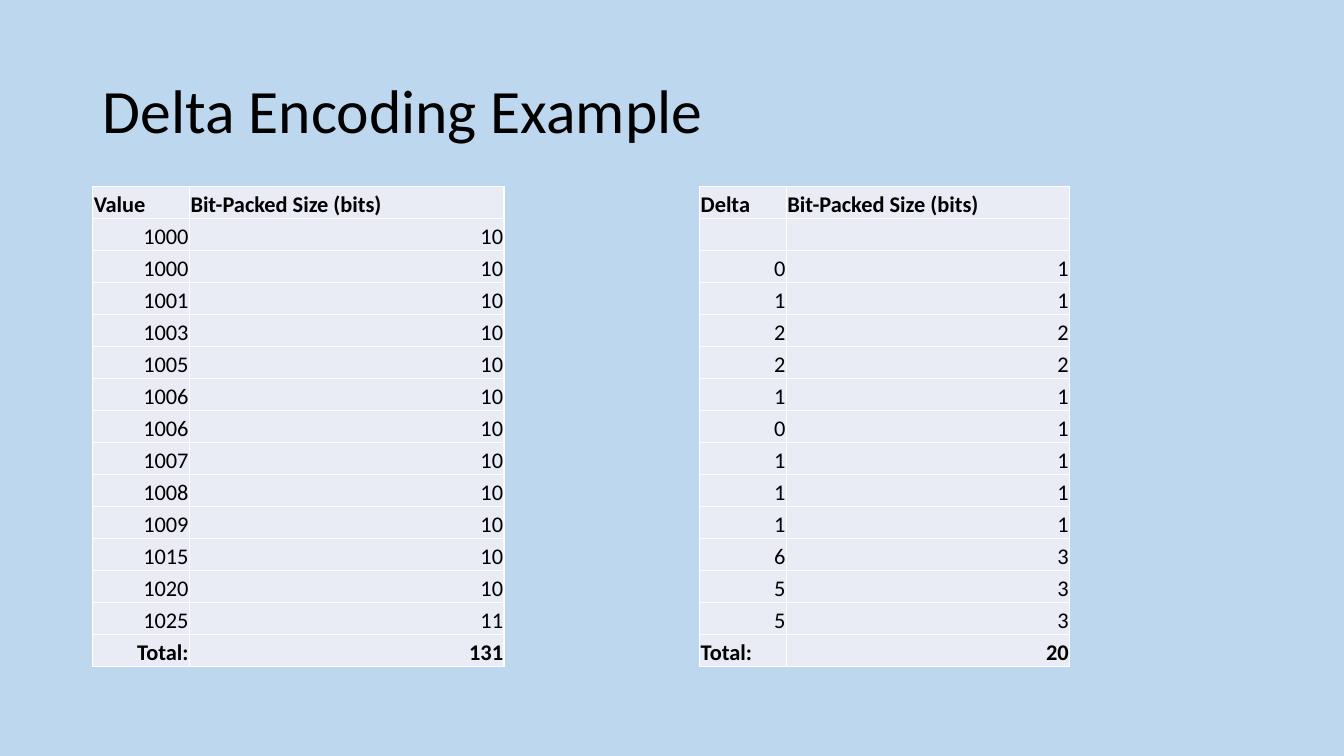
"""Build the delta encoding slide with its two bit-size tables."""
from lxml.etree import SubElement
from pptx import Presentation
from pptx.dml.color import RGBColor as RGB
from pptx.enum.text import MSO_ANCHOR as Anchor, PP_ALIGN as Align
from pptx.oxml import parse_xml
from pptx.oxml.ns import nsdecls, qn
from pptx.util import Inches, Pt

HUES = {"back": "BDD7EE", "cell": "E9EBF5", "edge": "FFFFFF", "text": "000000"}


def write(frame, text, size=16, bold=False, align=Align.LEFT, space=None):
    para = frame.paragraphs[0]
    para.alignment = align
    para.line_spacing = space
    if not text:
        para._p.get_or_add_endParaRPr().set("sz", str(size * 100))
        return
    run = para.add_run()
    run.text = text
    font = run.font
    font.name, font.size, font.bold = "Calibri", Pt(size), bold
    font.color.rgb = RGB.from_string(HUES["text"])


def edge(cell):
    props = cell._tc.get_or_add_tcPr()
    for spot, side in enumerate("LRTB"):
        line = parse_xml(f'<a:ln{side} {nsdecls("a")} w="12700"/>')
        fill = SubElement(line, qn("a:solidFill"))
        SubElement(fill, qn("a:srgbClr")).set("val", HUES["edge"])
        props.insert(spot, line)


deck = Presentation()
deck.slide_width, deck.slide_height = Inches(13.33), Inches(7.5)
slide = deck.slides.add_slide(deck.slide_layouts[6])
slide.background.fill.solid()
slide.background.fill.fore_color.rgb = RGB.from_string(HUES["back"])

title = slide.shapes.add_textbox(Inches(0.92), Inches(0.4), Inches(11.5), Inches(1.45)).text_frame
title.word_wrap = True
title.vertical_anchor = Anchor.MIDDLE
write(title, "Delta Encoding Example", size=44, space=0.9)

values = [1000, 1000, 1001, 1003, 1005, 1006, 1006, 1007, 1008, 1009, 1015, 1020, 1025]
deltas = [b - a for a, b in zip(values, values[1:])]
tables = [
    ("Value", values, [], 0.92, (0.96, 3.12), Align.RIGHT),
    ("Delta", deltas, [("", "")], 6.94, (0.86, 2.81), Align.LEFT),
]

for head, nums, gap, left, widths, side in tables:
    bits = [max(1, num.bit_length()) for num in nums]
    rows = [(head, "Bit-Packed Size (bits)"), *gap, *zip(nums, bits), ("Total:", sum(bits))]
    last = len(rows) - 1
    grid = slide.shapes.add_table(
        len(rows), 2, Inches(left), Inches(1.85), Inches(sum(widths)), Inches(4.77)).table
    for col, width in zip(grid.columns, widths):
        col.width = Inches(width)
    for r, row in enumerate(rows):
        grid.rows[r].height = Inches(4.77 / len(rows))
        for c, item in enumerate(row):
            cell = grid.cell(r, c)
            cell.margin_left = cell.margin_right = cell.margin_top = Inches(0.01)
            cell.margin_bottom = 0
            cell.vertical_anchor = Anchor.BOTTOM
            cell.fill.solid()
            cell.fill.fore_color.rgb = RGB.from_string(HUES["cell"])
            edge(cell)
            align = Align.LEFT if r == 0 else side if (r, c) == (last, 0) else Align.RIGHT
            write(cell.text_frame, str(item), bold=r in (0, last), align=align)

deck.save("out.pptx")
